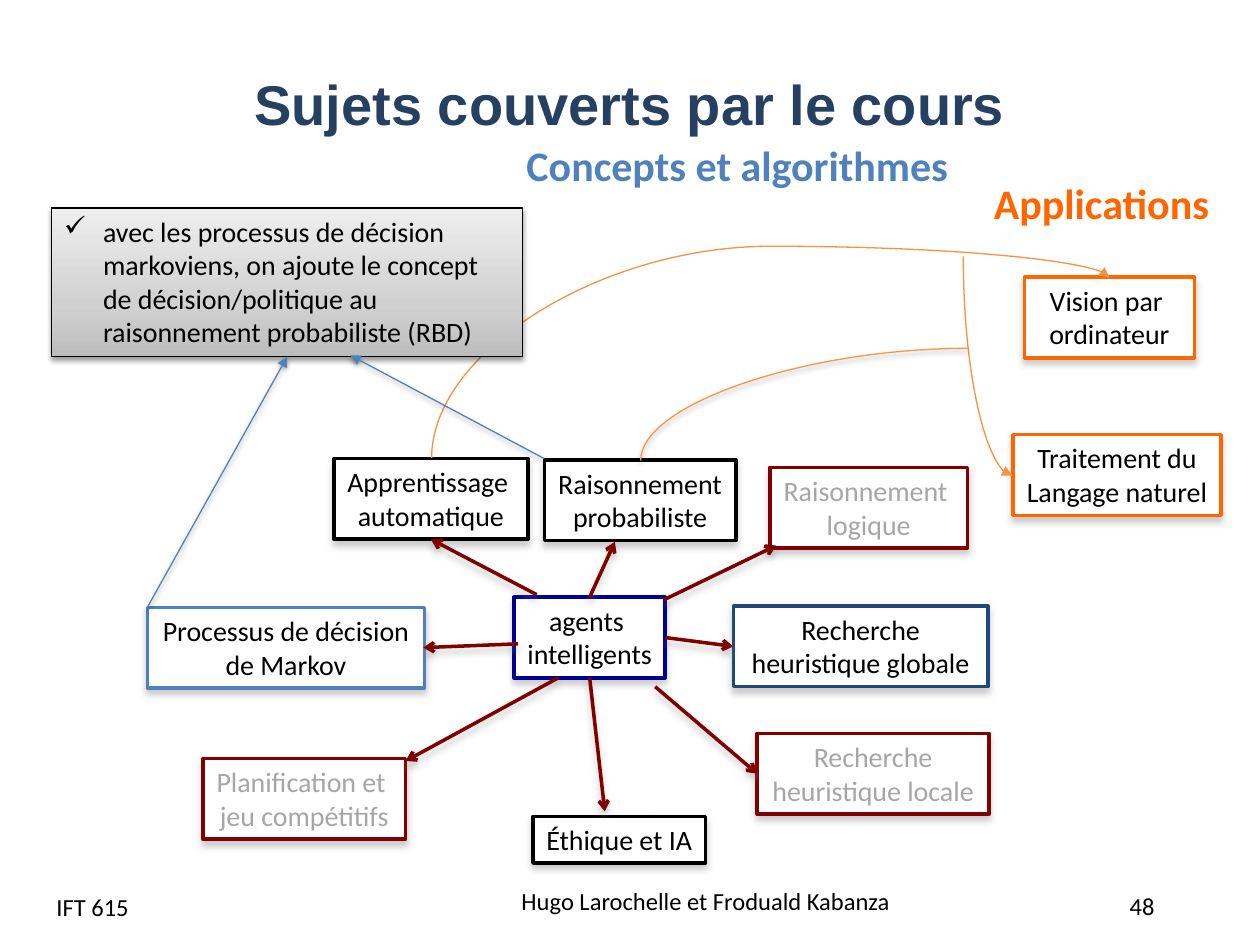
from lxml.etree import SubElement
from pptx import Presentation
from pptx.dml.color import RGBColor
from pptx.enum.shapes import MSO_CONNECTOR, MSO_SHAPE
from pptx.enum.text import MSO_ANCHOR, PP_ALIGN
from pptx.oxml import parse_xml
from pptx.oxml.ns import nsdecls, qn
from pptx.util import Inches, Pt

BLACK, GREY, MAROON = "000000", "A6A6A6", "800000"
BLUE, ORANGE = "4F81BD", "FF6600"
# Shadows: colour, opacity %, blur pt, distance pt
SOFT = ("808080", 40, 4, 3)
DARK = ("000000", 38, 3.1, 1.6)
color = RGBColor.from_string

deck = Presentation()
deck.slide_width, deck.slide_height = Inches(10), Inches(7.5)
slide = deck.slides.add_slide(deck.slide_layouts[6])
shapes = slide.shapes


def grid(*units):
    """Lengths on a grid of 100 columns by 75 rows of square cells."""
    return [round(unit * deck.slide_width / 100) for unit in units]


def outline(part, line_color, width, shadow=None, head=None):
    """Set the line, its arrowhead and the shadow cast downwards."""
    part.line.color.rgb = color(line_color)
    part.line.width = Pt(width)
    properties = part._element.spPr
    if head:
        SubElement(properties.find(qn("a:ln")), qn("a:tailEnd"), type=head)
    effects = SubElement(properties, qn("a:effectLst"))
    if shadow:
        tint, opacity, blur, distance = shadow
        cast = SubElement(effects, qn("a:outerShdw"), blurRad=str(Pt(blur)),
                          dist=str(Pt(distance)), dir="5400000", rotWithShape="0")
        shade = SubElement(cast, qn("a:srgbClr"), val=tint)
        SubElement(shade, qn("a:alpha"), val=str(opacity * 1000))


# Title, section labels and footer
labels = [
    ("Sujets couverts par le cours", (2.5, 4.3, 95, 7.7), "Arial", 32, "254061", True, PP_ALIGN.CENTER),
    ("Concepts et algorithmes", (40.8, 10.6, 35.8, 5), "Calibri", 24, BLUE, True, PP_ALIGN.LEFT),
    ("Applications", (77.9, 13.6, 19.3, 5), "Calibri", 24, ORANGE, True, PP_ALIGN.LEFT),
    ("IFT 615", (3.5, 70, 23.3, 4), "Calibri", 14, BLACK, False, PP_ALIGN.LEFT),
    ("Hugo Larochelle et Froduald Kabanza", (40.4, 69.5, 34.5, 4), "Calibri", 14, BLACK, False, PP_ALIGN.LEFT),
    ("48", (86.6, 70.6, 8.1, 2.6), "Calibri", 14, BLACK, False, PP_ALIGN.CENTER),
]
for text, place, font, size, ink, bold, align in labels:
    frame = shapes.add_textbox(*grid(*place)).text_frame
    frame.word_wrap = True
    frame.vertical_anchor = MSO_ANCHOR.MIDDLE
    paragraph = frame.paragraphs[0]
    paragraph.text = text
    paragraph.alignment = align
    paragraph.font.name, paragraph.font.size = font, Pt(size)
    paragraph.font.bold = bold
    paragraph.font.color.rgb = color(ink)

# Topic boxes: text, place, border, ink, wrapped
topics = [
    ("agents \nintelligents", (40.8, 47.4, 12, 6.4), "000090", BLACK, False),
    ("Raisonnement \nlogique", (61.1, 37.1, 15.7, 6.4), MAROON, GREY, False),
    ("Apprentissage \nautomatique", (26.5, 36.4, 15.4, 6.4), BLACK, BLACK, False),
    ("Processus de décision \nde Markov", (11.7, 48.2, 22, 6.4), BLUE, BLACK, True),
    ("Planification et \njeu compétitifs", (16.1, 60.2, 16.1, 6.4), MAROON, GREY, False),
    ("Recherche heuristique locale", (60.1, 58.2, 18.4, 6.4), MAROON, GREY, True),
    ("Recherche heuristique globale", (58.2, 48.1, 20.2, 6.4), "1F497D", BLACK, True),
    ("Éthique et IA", (42.3, 64.8, 13.7, 3.7), BLACK, BLACK, False),
    ("Raisonnement\nprobabiliste", (43.2, 36.5, 15.2, 6.4), BLACK, BLACK, False),
    ("Vision par \nordinateur", (81.3, 22, 13.5, 6.4), ORANGE, BLACK, True),
    ("Traitement du\nLangage naturel", (80.4, 34.5, 16.5, 6.4), ORANGE, BLACK, False),
]
for text, place, border, ink, wrapped in topics:
    topic = shapes.add_shape(MSO_SHAPE.RECTANGLE, *grid(*place))
    topic.fill.solid()
    topic.fill.fore_color.rgb = color("FFFFFF")
    outline(topic, border, 2, SOFT)
    frame = topic.text_frame
    frame.text = text
    frame.word_wrap = wrapped
    frame.vertical_anchor = MSO_ANCHOR.TOP
    for paragraph in frame.paragraphs:
        paragraph.alignment = PP_ALIGN.CENTER
        paragraph.font.name, paragraph.font.size = "Calibri", Pt(16)
        paragraph.font.color.rgb = color(ink)

# Arrows from the agents to each topic
spokes = [
    (46.8, 47.4, 48.8, 43), (42.6, 47.2, 34.2, 42.8), (52.8, 50.6, 58.2, 51.3),
    (52, 54.5, 60.1, 61.4), (46.8, 53.8, 48, 64.4), (41.1, 51.1, 33.6, 51.4),
    (44.3, 53.8, 32.2, 60.4), (52.7, 47.6, 61.6, 43.3),
]
for ends in spokes:
    spoke = shapes.add_connector(MSO_CONNECTOR.STRAIGHT, *grid(*ends))
    outline(spoke, MAROON, 2, SOFT, "arrow")

# Curves to the applications: unrotated ends, turn in degrees, preset, bend
curves = [
    ((68.3, 56.1, 54, 2.3), 90, "curvedConnector3", 117500, "F69240", None, "triangle"),
    ((73.6, 27.1, 69.7 - 13.5 + 13.5, 31), 270, "curvedConnector2", None, "F69240", None, "triangle"),
    ((68.3, 45.1, 59.4, 19.1), 90, "curvedConnector2", None, "F79646", DARK, None),
]
curves[1] = ((87.1, 27.1, 69.7, 31), *curves[1][1:])
for ends, turn, preset, bend, tint, shadow, head in curves:
    curve = shapes.add_connector(MSO_CONNECTOR.CURVE, *grid(*ends))
    curve._element.spPr.find(qn("a:xfrm")).set("rot", str(turn * 60000))
    geometry = curve._element.spPr.find(qn("a:prstGeom"))
    geometry.set("prst", preset)
    if bend:
        SubElement(geometry.find(qn("a:avLst")), qn("a:gd"), name="adj1", fmla=f"val {bend}")
    outline(curve, tint, 0.75, shadow, head)

# Remark on Markov decision processes
remark = shapes.add_shape(MSO_SHAPE.RECTANGLE, *grid(4.1, 16.5, 37.4, 11.8))
stops = "".join(f'<a:gs pos="{share * 1000}"><a:srgbClr val="{tint}"/></a:gs>'
                for share, tint in [(0, "BDBDBD"), (35, "D1D1D1"), (100, "EEEEEE")])
remark._element.spPr.find(qn("a:prstGeom")).addnext(parse_xml(
    f'<a:gradFill {nsdecls("a")} rotWithShape="1"><a:gsLst>{stops}</a:gsLst>'
    '<a:lin ang="16200000" scaled="0"/></a:gradFill>'))
outline(remark, BLACK, 0.75, DARK)
frame = remark.text_frame
frame.word_wrap = True
frame.vertical_anchor = MSO_ANCHOR.TOP
paragraph = frame.paragraphs[0]
paragraph.text = ("avec les processus de décision markoviens, on ajoute le concept "
                  "de décision/politique au raisonnement probabiliste (RBD)")
paragraph.alignment = PP_ALIGN.LEFT
bullet = paragraph._p.get_or_add_pPr()
bullet.set("marL", str(Inches(0.31)))
bullet.set("indent", str(-Inches(0.31)))
SubElement(bullet, qn("a:buChar"), char="✓")
paragraph.font.name, paragraph.font.size = "Calibri", Pt(16)
paragraph.font.color.rgb = color(BLACK)

# Arrows from the two related topics to the remark
for ends in [(11.7, 48.2, 22.8, 28.3), (43.2, 36.4, 27.8, 28.2)]:
    link = shapes.add_connector(MSO_CONNECTOR.STRAIGHT, *grid(*ends))
    outline(link, BLUE, 0.75, DARK, "triangle")

deck.save("out.pptx")
